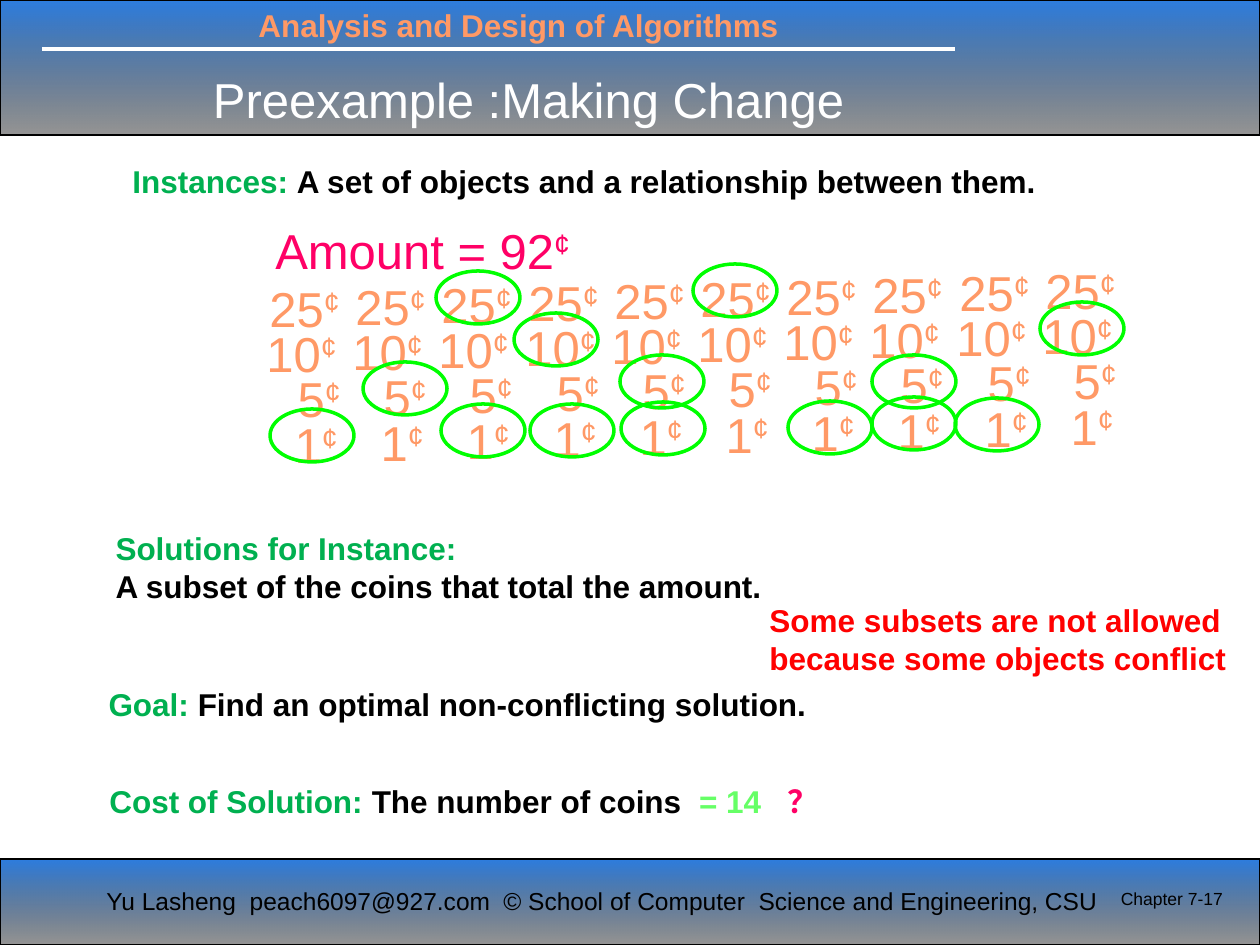
from lxml import etree
from pptx import Presentation
from pptx import util as u
from pptx.dml.color import RGBColor
from pptx.enum import shapes, text
from pptx.oxml.ns import qn

PX_PER_INCH = 126
GREEN, ORANGE, PINK, BLACK, WHITE = "00B050", "FF9966", "FF0066", "000000", "FFFFFF"
LEFT, CENTER, RIGHT = text.PP_ALIGN.LEFT, text.PP_ALIGN.CENTER, text.PP_ALIGN.RIGHT


def px(length):
    return u.Emu(round(length * u.Inches(1) / PX_PER_INCH))


def color(hex_string):
    return RGBColor.from_string(hex_string)


def add_run(paragraph, content, size=18, hue=BLACK, bold=False, baseline=0):
    """Add text to the paragraph; a newline becomes a line break."""
    for index, line in enumerate(content.split("\n")):
        if index:
            paragraph.add_line_break()
        if not line:
            continue
        run = paragraph.add_run()
        run.text = line
        run.font.name = "Arial"
        run.font.size = u.Pt(size)
        run.font.bold = bold
        run.font.color.rgb = color(hue)
        if baseline:
            run._r.get_or_add_rPr().set("baseline", str(baseline * 1000))


class SlideBuilder:
    band_stops = (("0E6BDC", 88), (BLACK, 41))

    def __init__(self, presentation):
        self.slide = presentation.slides.add_slide(presentation.slide_layouts[6])

    def band(self, top, height):
        shape = self.slide.shapes.add_shape(
            shapes.MSO_SHAPE.RECTANGLE, 0, px(top), px(1260), px(height))
        shape.shadow.inherit = False
        shape.fill.gradient()
        shape.fill.gradient_angle = 270
        for stop, (hue, opacity) in zip(shape.fill.gradient_stops, self.band_stops):
            stop.color.rgb = color(hue)
            rgb = stop._gs.find(qn("a:srgbClr"))
            etree.SubElement(rgb, qn("a:alpha")).set("val", str(opacity * 1000))
        shape.line.color.rgb = color(BLACK)
        shape.line.width = u.Pt(0.75)

    def rule(self, left, right, y):
        line = self.slide.shapes.add_connector(
            shapes.MSO_CONNECTOR.STRAIGHT, px(left), px(y), px(right), px(y))
        line.line.color.rgb = color(WHITE)
        line.line.width = u.Pt(2.25)
        etree.SubElement(line._element.spPr, qn("a:effectLst"))

    def ring(self, left, top):
        shape = self.slide.shapes.add_shape(
            shapes.MSO_SHAPE.OVAL, px(left), px(top), px(84), px(53))
        shape.shadow.inherit = False
        shape.fill.background()
        shape.line.color.rgb = color("00FF00")
        shape.line.width = u.Pt(2)

    def label(self, box, *runs, align=LEFT, indent=0, middle=False, **style):
        """Each run is (text, format); style applies to every run."""
        shape = self.slide.shapes.add_textbox(*map(px, box))
        frame = shape.text_frame
        frame.word_wrap = True
        frame.margin_left = u.Inches(0.1) + px(indent)
        if middle:
            frame.vertical_anchor = text.MSO_ANCHOR.MIDDLE
        paragraph = frame.paragraphs[0]
        paragraph.alignment = align
        for content, own_style in runs:
            add_run(paragraph, content, **{**style, **own_style})

    def cents(self, box, content, hue, align=LEFT):
        self.label(box, (content, {}), ("¢", {"baseline": 30}),
                   size=28, hue=hue, align=align)

    def statement(self, box, heading, *runs, indent=0):
        self.label(box, (heading, {"hue": GREEN}), *runs, bold=True, indent=indent)


def main():
    presentation = Presentation()
    presentation.slide_width, presentation.slide_height = px(1260), px(945)
    builder = SlideBuilder(presentation)

    # Header and footer
    builder.band(0, 135)
    builder.band(859, 86)
    builder.rule(42, 955, 49)
    builder.label((246, 0, 630, 50), ("Analysis and Design of Algorithms", {}),
                  hue=ORANGE, bold=True)
    builder.label((94, 880, 410, 43), ("Yu Lasheng  peach6097@927.com", {}), size=14)
    builder.label((491, 880, 645, 43),
                  ("© School of Computer  Science and Engineering, CSU", {}), size=14)
    builder.label((1100, 882, 135, 63), ("Chapter 7-17", {}), size=10, align=RIGHT)
    builder.label((-44, 20, 1145, 158), ("Preexample :Making Change", {}),
                  size=28, hue=WHITE, align=CENTER, middle=True)

    # Instance: each column of coins sits a little higher than the one before
    builder.statement((120, 156, 939, 50), "Instances: ",
                      ("A set of objects and a relationship between them.", {}))
    coin_rows = (("25", 352, 272), ("10", 349, 317), ("5", 353, 362), ("1", 350, 408))
    coin_width = 100
    for value, right, top in coin_rows:
        for column in range(10):
            left = round(right - coin_width + 86.2 * column)
            builder.cents((left, round(top - 1.95 * column), coin_width, 72),
                          value, ORANGE, align=RIGHT)
    builder.cents((263, 214, 326, 72), "Amount = 92", PINK)

    # Chosen coins
    chosen = (
        (436, 271), (693, 264),
        (514, 313), (1040, 302),
        (363, 362), (620, 355), (872, 355),
        (270, 409), (441, 404), (530, 404), (621, 402), (788, 401), (872, 397), (955, 398),
    )
    for left, top in chosen:
        builder.ring(left, top)

    # Solutions, goal and cost
    builder.statement((40, 523, 742, 89), "Solutions for Instance: \n",
                      ("A subset of the coins that total the amount.", {}), indent=63)
    builder.label((757, 595, 490, 89),
                  ("Some subsets are not allowed \nbecause some objects conflict", {}),
                  hue="FF0000", bold=True)
    builder.statement((33, 679, 794, 50), "Goal: ",
                      ("Find an optimal non-conflicting solution.", {}), indent=63)
    builder.statement((97, 776, 1110, 50), "Cost of Solution: ",
                      ("The number of coins  ", {}),
                      ("= 14   ", {"hue": "66FF66"}), ("？", {"hue": PINK}))

    presentation.save("out.pptx")


if __name__ == "__main__":
    main()
